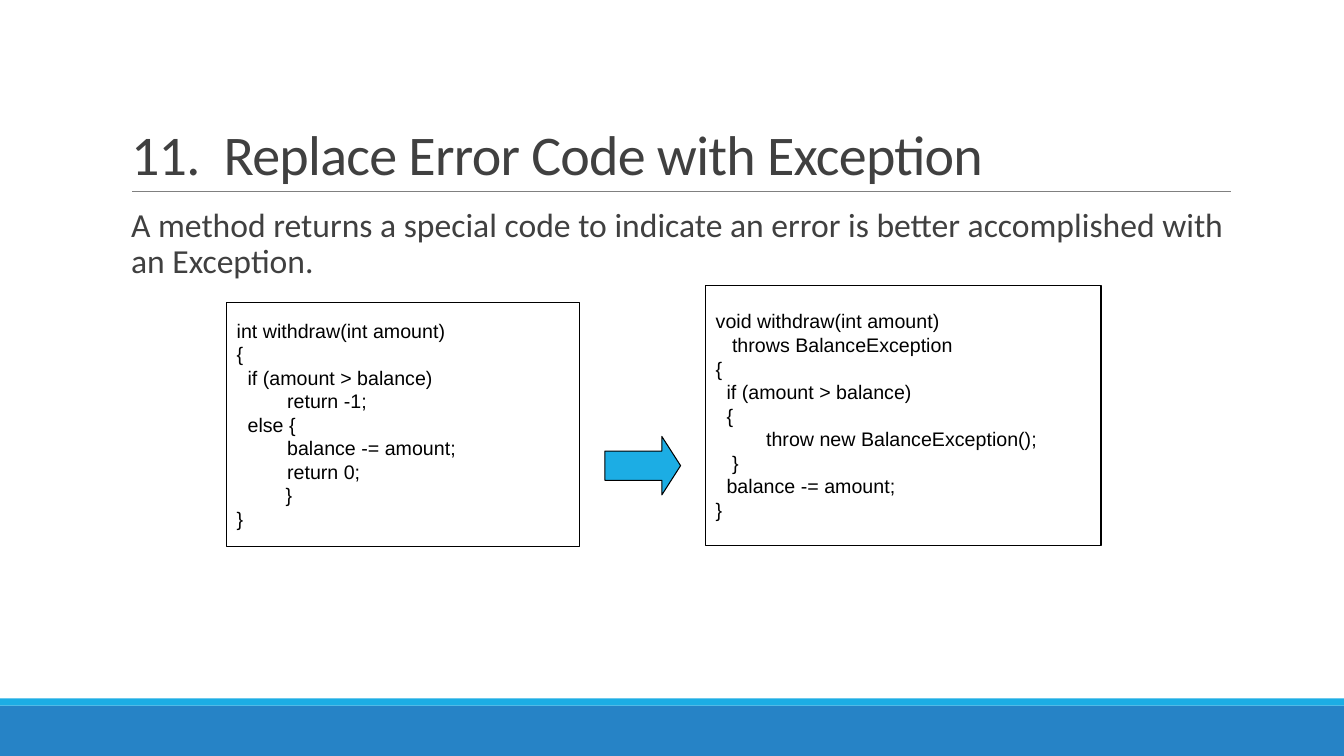
from lxml import etree
from pptx import Presentation
from pptx.dml.color import RGBColor
from pptx.enum import shapes, text
from pptx.oxml.ns import qn
from pptx.util import Inches, Pt

TITLE = "11.  Replace Error Code with Exception"
BODY = ("A method returns a special code to indicate an error "
        "is better accomplished with an Exception.")
BEFORE = """int withdraw(int amount)
{
  if (amount > balance)
\treturn -1;
  else {
\tbalance -= amount;
\treturn 0;
         }
}"""
AFTER = """void withdraw(int amount)
   throws BalanceException
{
  if (amount > balance)
  {
 \tthrow new BalanceException();
   }
  balance -= amount;
}"""
CODE_BOXES = [(BEFORE, (2.25, 3, 3.5, 2.42)), (AFTER, (7, 2.83, 3.92, 2.58))]
FOOTER_BARS = [("blue", (0, 7, 13.33, 0.5)), ("cyan", (0, 6.93, 13.33, 0.07))]
ARROW = (6, 4.33, 0.75, 0.58)
COLORS = {"blue": "2683C6", "cyan": "1CADE4", "rule": "808080",
          "text": "404040", "black": "000000"}


def color(name):
    return RGBColor.from_string(COLORS[name])


def add_run(paragraph, content, font_name, size, color_name):
    run = paragraph.add_run()
    run.text = content
    run.font.name = font_name
    run.font.size = Pt(size)
    run.font.color.rgb = color(color_name)
    return run


def add_block(slide, kind, box, fill=None, outline=None):
    """Add a flat preset shape; None leaves out the fill or the outline."""
    shape = slide.shapes.add_shape(kind, *map(Inches, box))
    shape.shadow.inherit = False
    if fill:
        shape.fill.solid()
        shape.fill.fore_color.rgb = color(fill)
    else:
        shape.fill.background()
    if outline:
        shape.line.color.rgb = color(outline)
        shape.line.width = Pt(0.75)
    else:
        shape.line.fill.background()
    return shape


def add_rule(slide):
    rule = slide.shapes.add_connector(
        shapes.MSO_CONNECTOR.STRAIGHT,
        Inches(1.31), Inches(1.9), Inches(12.21), Inches(1.9))
    rule.line.color.rgb = color("rule")
    rule.line.width = Pt(0.5)
    etree.SubElement(rule._element.spPr, qn("a:effectLst"))


def fill_placeholder(shape, box, content, size, spacing, anchor):
    shape.left, shape.top, shape.width, shape.height = map(Inches, box)
    frame = shape.text_frame
    frame.word_wrap = True
    frame.auto_size = text.MSO_AUTO_SIZE.NONE
    frame.vertical_anchor = anchor
    paragraph = frame.paragraphs[0]
    properties = paragraph._p.get_or_add_pPr()
    properties.set("marL", "0")
    properties.set("indent", "0")
    etree.SubElement(properties, qn("a:buNone"))
    paragraph.alignment = text.PP_ALIGN.LEFT
    paragraph.line_spacing = spacing
    paragraph.space_before = Pt(0)
    return add_run(paragraph, content, "Calibri", size, "text")


def add_code(slide, code, box):
    shape = add_block(slide, shapes.MSO_SHAPE.RECTANGLE, box, outline="black")
    frame = shape.text_frame
    frame.word_wrap = True
    frame.vertical_anchor = text.MSO_ANCHOR.MIDDLE
    for number, line in enumerate(code.split("\n")):
        paragraph = frame.add_paragraph() if number else frame.paragraphs[0]
        tabs = etree.SubElement(paragraph._p.get_or_add_pPr(), qn("a:tabLst"))
        etree.SubElement(tabs, qn("a:tab"), pos=str(Inches(0.5)), algn="l")
        paragraph.alignment = text.PP_ALIGN.LEFT
        add_run(paragraph, line, "Arial", 14, "black")


def main():
    presentation = Presentation()
    presentation.slide_width = Inches(13.33)
    presentation.slide_height = Inches(7.5)
    slide = presentation.slides.add_slide(presentation.slide_layouts[1])

    for fill, box in FOOTER_BARS:
        add_block(slide, shapes.MSO_SHAPE.RECTANGLE, box, fill=fill)
    add_rule(slide)

    title_run = fill_placeholder(slide.shapes.title, (1.2, 0.31, 11, 1.59),
                                 TITLE, 40, 0.85, text.MSO_ANCHOR.BOTTOM)
    title_run.font._element.set("spc", "-50")
    fill_placeholder(slide.placeholders[1], (1.2, 2.02, 11, 4.4),
                     BODY, 24, 0.9, text.MSO_ANCHOR.TOP)
    body_frame = slide.placeholders[1].text_frame
    body_frame.margin_left = Inches(0.1)
    body_frame.margin_right = 0

    for code, box in CODE_BOXES:
        add_code(slide, code, box)
    arrow = add_block(slide, shapes.MSO_SHAPE.RIGHT_ARROW, ARROW, "cyan", "black")
    arrow.adjustments[0] = 0.5
    arrow.adjustments[1] = 0.32

    presentation.save("out.pptx")


if __name__ == "__main__":
    main()
